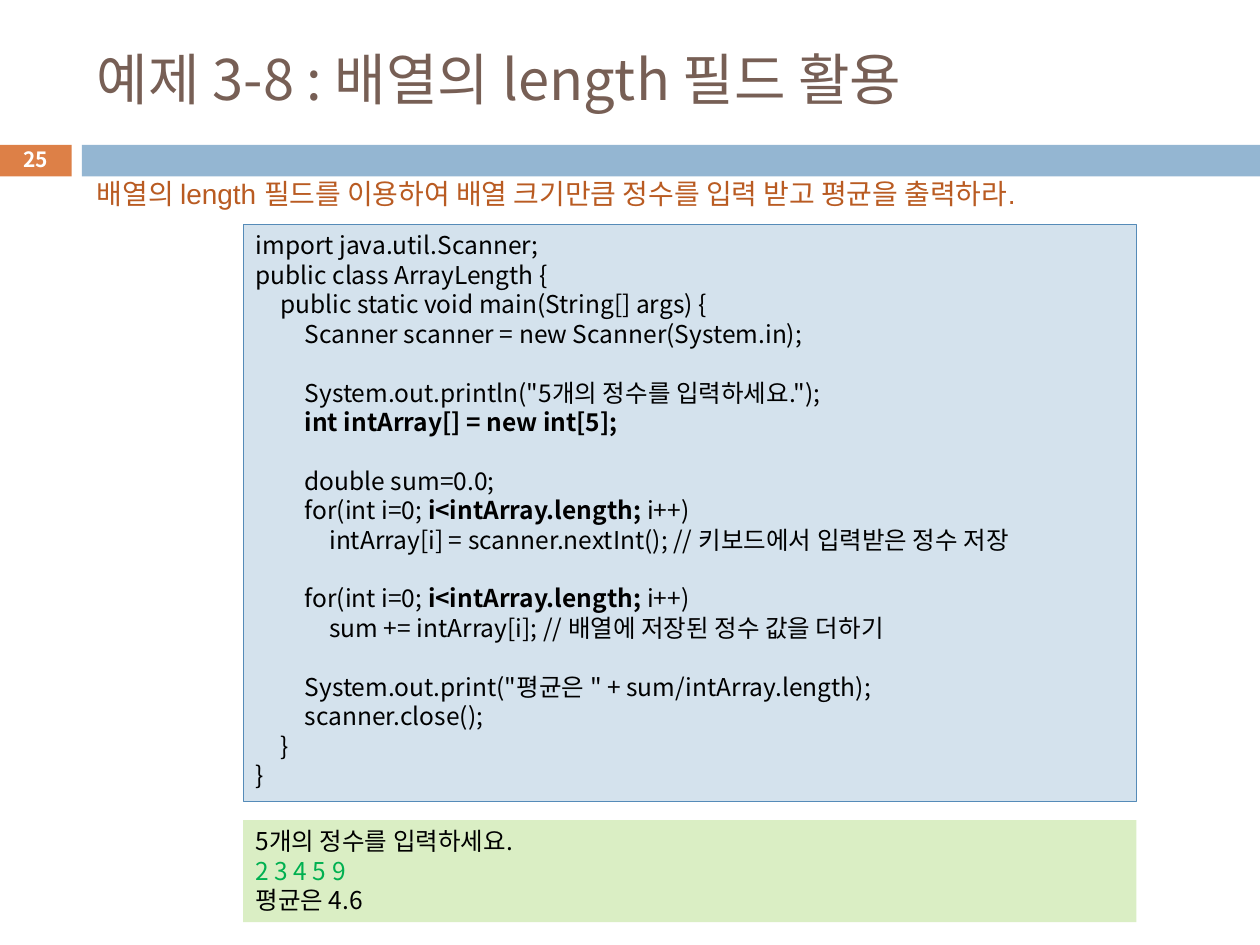
from pptx import Presentation
from pptx.util import Inches, Pt
from pptx.dml.color import RGBColor
from pptx.enum.shapes import MSO_SHAPE as Shape
from pptx.enum.text import MSO_ANCHOR as Anchor, PP_ALIGN as Align
from pptx.oxml.ns import qn
from lxml.etree import SubElement as Sub

# Grid: 100 columns by 75 rows
COLS, ROWS = 100, 75

# Leading tabs set the indent, an empty line a gap, and bars enclose bold code
CODE = """import java.util.Scanner;
public class ArrayLength {
\tpublic static void main(String[] args) {
\t\tScanner scanner = new Scanner(System.in);

\t\tSystem.out.println("5개의 정수를 입력하세요.");
\t\t|int intArray[] = new int[5];|

\t\tdouble sum=0.0;
\t\tfor(int i=0; |i<intArray.length; |i++)
\t\t\tintArray[i] = scanner.nextInt(); // 키보드에서 입력받은 정수 저장

\t\tfor(int i=0; |i<intArray.length; |i++)
\t\t\tsum += intArray[i]; // 배열에 저장된 정수 값을 더하기

\t\tSystem.out.print("평균은 " + sum/intArray.length);
\t\tscanner.close();
\t}
}"""


def color(code):
    return RGBColor.from_string(code)


class Deck:
    font = "Noto Sans CJK KR"
    size = 14
    lead = 16.8
    step = 0.195

    def __init__(self):
        self.prs = Presentation()
        self.prs.slide_width, self.prs.slide_height = Inches(10), Inches(7.5)
        self.slide = self.prs.slides.add_slide(self.prs.slide_layouts[6])

    def place(self, col, row, wide, high):
        x, y = self.prs.slide_width / COLS, self.prs.slide_height / ROWS
        return [round(n) for n in (col * x, row * y, wide * x, high * y)]

    def box(self, spot, fill, line=None):
        box = self.slide.shapes.add_shape(Shape.RECTANGLE, *self.place(*spot))
        box.shadow.inherit = False
        box.fill.solid()
        box.fill.fore_color.rgb = color(fill)
        if line:
            box.line.color.rgb = color(line)
            box.line.width = Pt(0.75)
        else:
            box.line.fill.background()
        box.text_frame.word_wrap = True
        box.text_frame.vertical_anchor = Anchor.TOP
        return box

    def run(self, par, text, ink, size, bold=False, latin=None):
        run = par.add_run()
        run.text = text
        font = run.font
        font.size, font.bold = Pt(size), bold
        font.color.rgb = color(ink)
        font.name = latin or self.font
        Sub(run._r.get_or_add_rPr(), qn("a:ea")).set("typeface", self.font)

    def label(self, spot, text, ink, size, anchor=Anchor.TOP, wrap=True,
              align=Align.LEFT, inset=None, **look):
        frame = self.slide.shapes.add_textbox(*self.place(*spot)).text_frame
        frame.word_wrap, frame.vertical_anchor = wrap, anchor
        if inset is not None:
            frame.margin_left = frame.margin_right = Inches(inset)
            frame.margin_top = frame.margin_bottom = Inches(inset)
        par = frame.paragraphs[0]
        par.alignment = align
        self.run(par, text, ink, size, **look)

    def lines(self, box, text, inks=None):
        frame, par, gap = box.text_frame, None, 0
        for num, line in enumerate(text.split("\n")):
            if not line:
                gap += self.lead
                continue
            par = frame.add_paragraph() if par else frame.paragraphs[0]
            par.alignment = Align.LEFT
            par.line_spacing, par.space_before = Pt(self.lead), Pt(gap)
            gap = 0
            body = line.lstrip("\t")
            depth = len(line) - len(body)
            par._p.get_or_add_pPr().set("marL", str(Inches(depth * self.step)))
            ink = (inks or {}).get(num, "000000")
            for i, part in enumerate(body.split("|")):
                if part:
                    self.run(par, part, ink, self.size, bold=i % 2 == 1)


def main():
    deck = Deck()

    # Heading bar with page number
    deck.box((0, 11.5, 5.7, 2.5), "DD8047")
    deck.box((6.5, 11.5, 93.5, 2.5), "94B6D2")
    deck.label((0, 11.3, 5.7, 2.7), "25", "FFFFFF", 12, Anchor.MIDDLE,
               align=Align.CENTER, inset=0, bold=True)

    # Title and task
    deck.label((6.7, 2.5, 89.2, 7.4), "예제 3-8 : 배열의 length 필드 활용",
               "775F55", 32, Anchor.MIDDLE)
    deck.label((6.7, 13.5, 85.5, 3.7),
               "배열의 length 필드를 이용하여 배열 크기만큼 정수를 입력 받고 평균을 출력하라.",
               "B95B22", 16, wrap=False, latin="Arial")

    # Code listing and its output
    deck.lines(deck.box((19.3, 17.8, 70.9, 45.8), "D4E2ED", "558BB8"), CODE)
    deck.lines(deck.box((19.3, 65.1, 70.9, 8.1), "DAEEC4"),
               "5개의 정수를 입력하세요.\n2 3 4 5 9\n평균은 4.6", {1: "00B050"})

    deck.prs.save("out.pptx")


if __name__ == "__main__":
    main()
